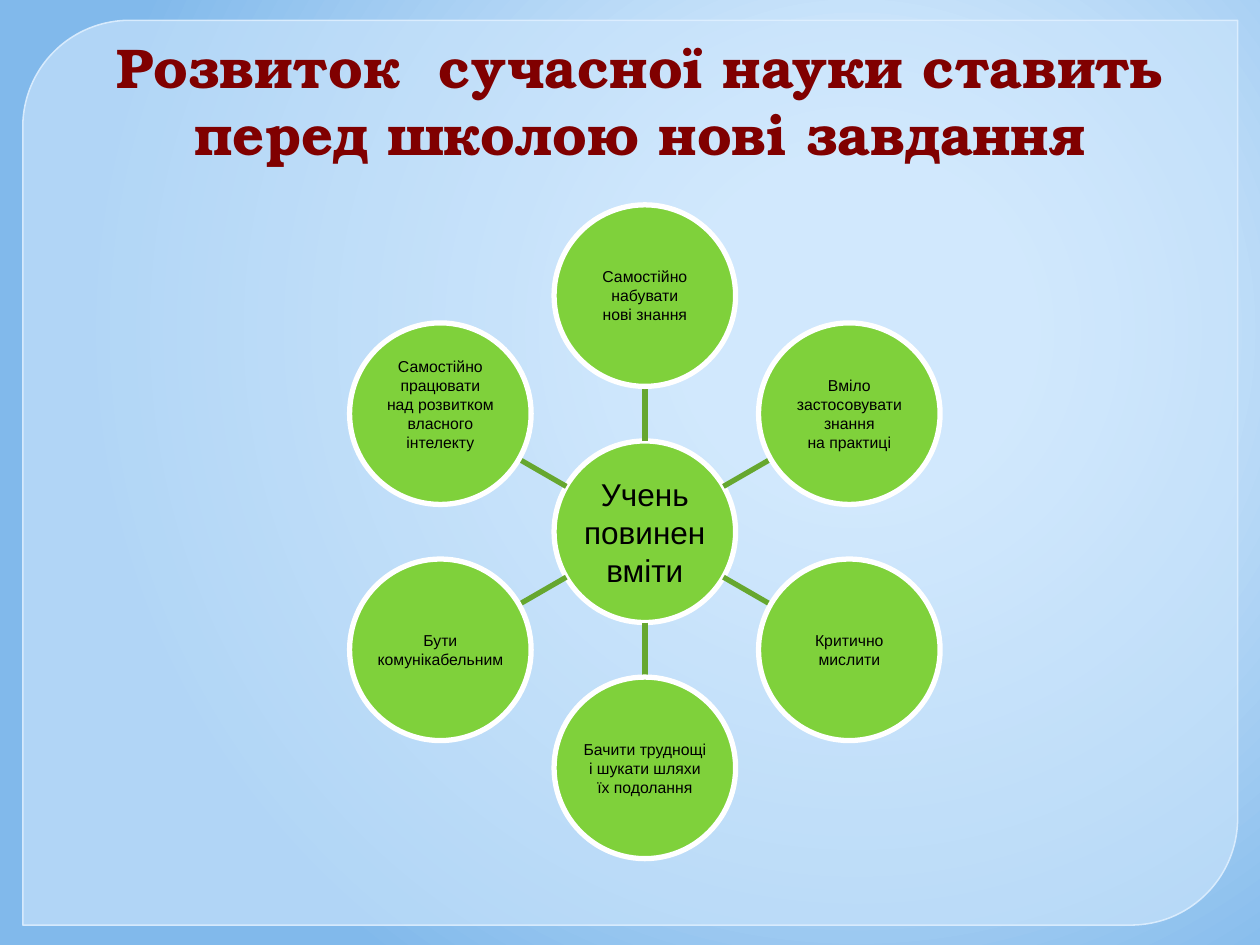
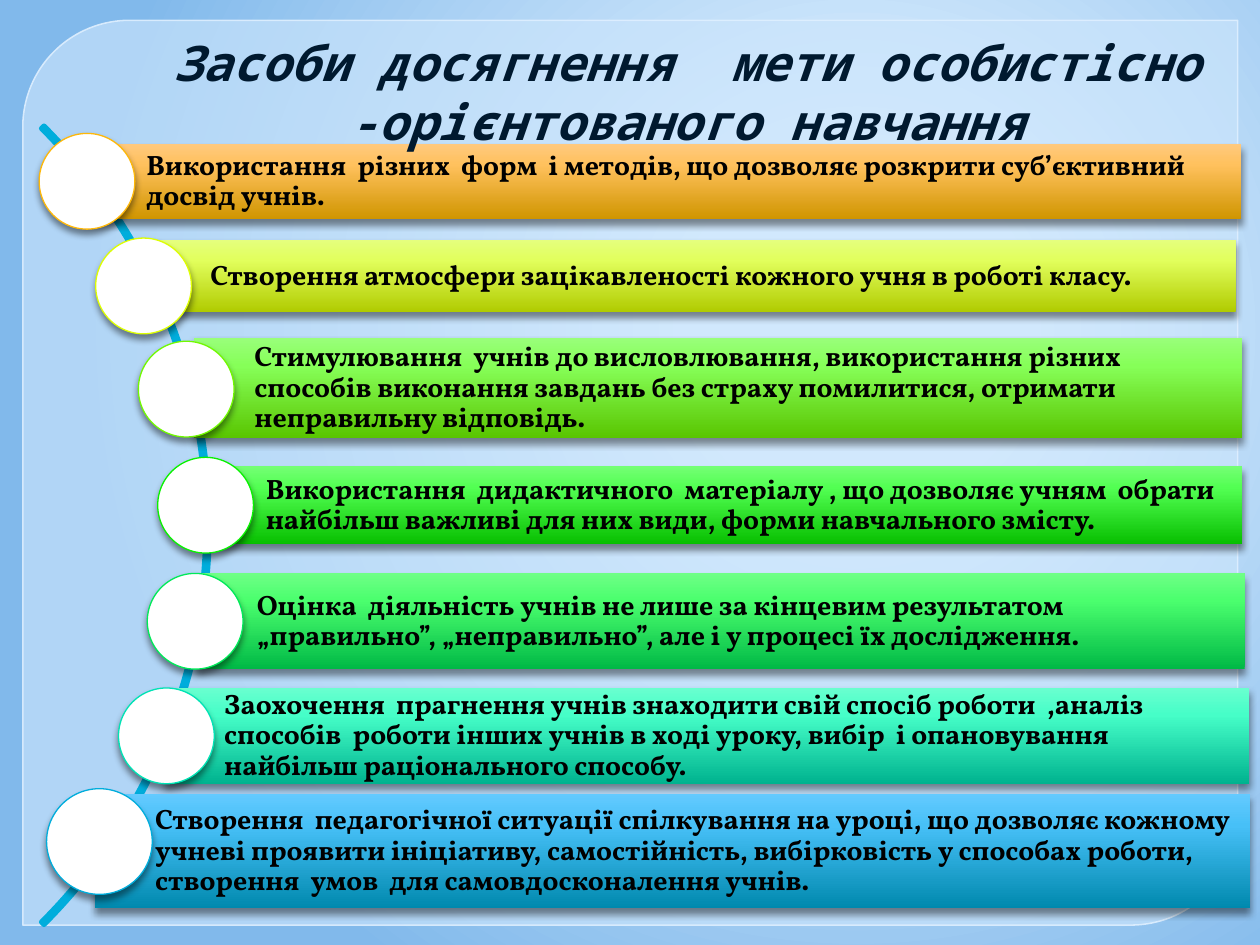
"""Build two slides on modern teaching: a hub of pupil skills and a list of means."""
from math import cos, radians, sin

from lxml.etree import SubElement
from pptx import Presentation
from pptx.dml.color import RGBColor
from pptx.enum.shapes import MSO_CONNECTOR, MSO_SHAPE
from pptx.enum.text import MSO_ANCHOR, MSO_AUTO_SIZE, PP_ALIGN
from pptx.oxml import parse_xml
from pptx.oxml.ns import nsdecls, qn
from pptx.util import Cm, Pt

BLACK = RGBColor(0x00, 0x00, 0x00)
WHITE = RGBColor(0xFF, 0xFF, 0xFF)
MAROON = RGBColor(0x80, 0x00, 0x00)
NAVY = RGBColor(0x00, 0x19, 0x2F)
GREEN = RGBColor(0x7F, 0xD1, 0x3B)
DARK_GREEN = RGBColor(0x66, 0xA7, 0x2F)
CYAN = RGBColor(0x00, 0xAD, 0xDC)
PANEL = RGBColor(0xCB, 0xE5, 0xFC)
PANEL_EDGE = RGBColor(0xE0, 0xF0, 0xFF)

GRADIENT = (
    f'<a:gradFill {nsdecls("a")} rotWithShape="1"><a:gsLst>'
    '<a:gs pos="0"><a:srgbClr val="{0}"/></a:gs>'
    '<a:gs pos="{1}"><a:srgbClr val="{2}"/></a:gs>'
    '<a:gs pos="100000"><a:srgbClr val="{3}"/></a:gs>'
    '</a:gsLst>{4}</a:gradFill>'
)
RADIAL = '<a:path path="circle"><a:fillToRect l="68000" t="35000" r="32000" b="65000"/></a:path>'
UPWARD = '<a:lin ang="16200000" scaled="0"/>'
SHADOW = (
    f'<a:outerShdw {nsdecls("a")} blurRad="50800" dist="38100" dir="5400000" rotWithShape="0">'
    '<a:srgbClr val="000000"><a:alpha val="43000"/></a:srgbClr></a:outerShdw>'
)


def draw(s, kind, box, fill=None, line=None, width=0.75, shadow=False):
    sp = s.shapes.add_shape(kind, *[Cm(v) for v in box])
    sp.shadow.inherit = False
    if shadow:
        sp.element.spPr.find(qn("a:effectLst")).append(parse_xml(SHADOW))
    if fill is None:
        sp.fill.background()
    else:
        sp.fill.solid()
        sp.fill.fore_color.rgb = fill
    if line is None:
        sp.line.fill.background()
    else:
        sp.line.color.rgb = line
        sp.line.width = Pt(width)
    return sp


def write(tf, lines, color, font, frame, paragraph):
    for key, value in frame.items():
        setattr(tf, key, value)
    for i, text in enumerate(lines):
        p = tf.paragraphs[0] if i == 0 else tf.add_paragraph()
        for key, value in paragraph.items():
            setattr(p, key, value)
        r = p.add_run()
        r.text = text
        for key, value in font.items():
            setattr(r.font, key, value)
        r.font.color.rgb = color


prs = Presentation()
prs.slide_width, prs.slide_height = Cm(25.4), Cm(19.05)
master = prs.slide_master
master.background.fill.solid()
bg = master.element.find(".//" + qn("p:bgPr"))
bg.replace(bg[0], parse_xml(GRADIENT.format("E1F1FF", 20000, "DFF0FF", "81B9EB", RADIAL)))

titles = [
    ("Розвиток  сучасної науки ставить перед школою нові завдання", MAROON,
     (2.11, 0.53, 21.59, 3),
     {"name": "TeX Gyre Bonum", "size": Pt(32), "bold": True}),
    ("Засоби досягнення  мети особистісно -орієнтованого навчання", NAVY,
     (2.31, 0.53, 23.09, 2.64),
     {"name": "Noto Sans Mono", "size": Pt(28), "bold": True, "italic": True}),
]
title_frame = {"word_wrap": True, "auto_size": MSO_AUTO_SIZE.NONE,
               "vertical_anchor": MSO_ANCHOR.TOP,
               "margin_left": Cm(0.1), "margin_right": Cm(0.1)}
for text, color, box, font in titles:
    s = prs.slides.add_slide(prs.slide_layouts[5])
    title = s.shapes.title
    for key, value in zip(("left", "top", "width", "height"), box):
        setattr(title, key, Cm(value))
    write(title.text_frame, [text], color, font, title_frame, {"alignment": PP_ALIGN.CENTER})

skills, means = prs.slides

panel = draw(skills, MSO_SHAPE.ROUND_2_DIAG_RECTANGLE, (0.46, 0.41, 24.49, 18.24),
             PANEL, PANEL_EDGE, 0.87)
panel.adjustments[0], panel.adjustments[1] = 0.118, 0
for clr, alpha in zip(panel.element.spPr.iter(qn("a:srgbClr")), ("65000", "88000")):
    SubElement(clr, qn("a:alpha")).set("val", alpha)
master.shapes.element.insert(2, panel.element)

CX, CY, RADIUS, ORBIT = 13, 10.72, 1.83, 4.76
hub = ["Учень повинен", "вміти"]
spokes = [
    ["Самостійно", "набувати", "нові знання"],
    ["Вміло", "застосовувати", "знання", "на практиці"],
    ["Критично", "мислити"],
    ["Бачити труднощі", "і шукати шляхи", "їх подолання"],
    ["Бути", "комунікабельним"],
    ["Самостійно", "працювати", "над розвитком", "власного інтелекту"],
]
circle_frame = {"word_wrap": True, "vertical_anchor": MSO_ANCHOR.MIDDLE}
circle_frame.update({f"margin_{side}": 0 for side in ("left", "top", "right", "bottom")})
for i, lines in enumerate([hub] + spokes):
    angle = radians(60 * i - 150)
    dx, dy = cos(angle), sin(angle)
    orbit = ORBIT if i else 0
    if i:
        ends = [Cm(c + d * k) for k in (RADIUS, ORBIT - RADIUS) for c, d in ((CX, dx), (CY, dy))]
        spoke = skills.shapes.add_connector(MSO_CONNECTOR.STRAIGHT, *ends)
        spoke.line.color.rgb = DARK_GREEN
        spoke.line.width = Pt(3)
        SubElement(spoke.element.spPr, qn("a:effectLst"))
    box = (CX + orbit * dx - RADIUS, CY + orbit * dy - RADIUS, 2 * RADIUS, 2 * RADIUS)
    sp = draw(skills, MSO_SHAPE.OVAL, box, GREEN, WHITE, 3)
    font = {"name": "Arial", "size": Pt(9 if i else 18)}
    write(sp.text_frame, lines, BLACK, font, circle_frame, {"alignment": PP_ALIGN.CENTER})
sp.text_frame.margin_bottom = Cm(0.39)

arc = draw(means, MSO_SHAPE.BLOCK_ARC, (-18.54, -0.79, 22.76, 22.76), line=CYAN, width=3)
for i, value in enumerate((189, 27, 0.003)):
    arc.adjustments[i] = value

bars = [
    ((1.73, 2.9, 23.29, 1.52), (0.79, 2.69, 1.93), ("D09500", "FFC15D", "FFC97E"), "FEB80A",
     "Використання  різних  форм  і методів, що дозволяє розкрити суб’єктивний досвід учнів."),
    ((3.02, 4.83, 21.89, 1.47), (1.93, 4.8, 1.93), ("B0CB00", "E2FF5D", "E5FF7E"), "DDFE03",
     "Створення атмосфери зацікавленості кожного учня в роботі класу."),
    ((3.91, 6.81, 21.13, 2.03), (2.79, 6.88, 1.93), ("59C500", "86FF58", "99FF7A"), "71F901",
     "Стимулювання  учнів до висловлювання, використання різних способів виконання завдань "
     "без страху помилитися, отримати неправильну відповідь."),
    ((4.14, 9.4, 20.9, 1.57), (3.18, 9.22, 1.93), ("07BF00", "52FF52", "74FF74"), "09F200",
     "Використання  дидактичного  матеріалу , що дозволяє учням  обрати найбільш важливі "
     "для них види, форми навчального змісту."),
    ((3.96, 11.56, 21.13, 1.93), (2.97, 11.56, 1.93), ("00B946", "4BFF6E", "6EFF86"), "00EA59",
     "Оцінка  діяльність учнів не лише за кінцевим результатом „правильно”, „неправильно”, "
     "але і у процесі їх дослідження."),
    ((3.3, 13.87, 21.89, 1.93), (2.39, 13.87, 1.93), ("00B38F", "46FEC8", "69FFCF"), "00E3B5",
     "Заохочення  прагнення учнів знаходити свій спосіб роботи  ,аналіз  способів  роботи "
     "інших учнів в ході уроку, вибір  і опановування  найбільш раціонального способу."),
    ((1.91, 16, 23.29, 2.31), (0.94, 15.9, 2.13), ("0089AE", "47C0F7", "63CAFF"), "00ADDC",
     "Створення  педагогічної ситуації спілкування на уроці, що дозволяє кожному учневі "
     "проявити ініціативу, самостійність, вибірковість у способах роботи, створення  умов  для "
     "самовдосконалення учнів."),
]
bar_font = {"name": "Vollkorn", "size": Pt(16), "bold": True}
bar_frame = {"word_wrap": True, "vertical_anchor": MSO_ANCHOR.MIDDLE, "margin_left": Cm(1.22),
             "margin_top": Cm(0.1), "margin_right": Cm(0.1), "margin_bottom": Cm(0.1)}
for box, (x, y, size), (dark, mid, light), edge, text in bars:
    bar = draw(means, MSO_SHAPE.RECTANGLE, box, WHITE, shadow=True)
    spPr = bar.element.spPr
    spPr.replace(spPr.find(qn("a:solidFill")),
                 parse_xml(GRADIENT.format(dark, 72000, mid, light, UPWARD)))
    write(bar.text_frame, [text], BLACK, bar_font, bar_frame,
          {"alignment": PP_ALIGN.LEFT, "line_spacing": 0.9})
    draw(means, MSO_SHAPE.OVAL, (x, y, size, size), WHITE, RGBColor.from_string(edge), shadow=True)
means.shapes.element.append(means.shapes.title.element)

prs.save("out.pptx")
